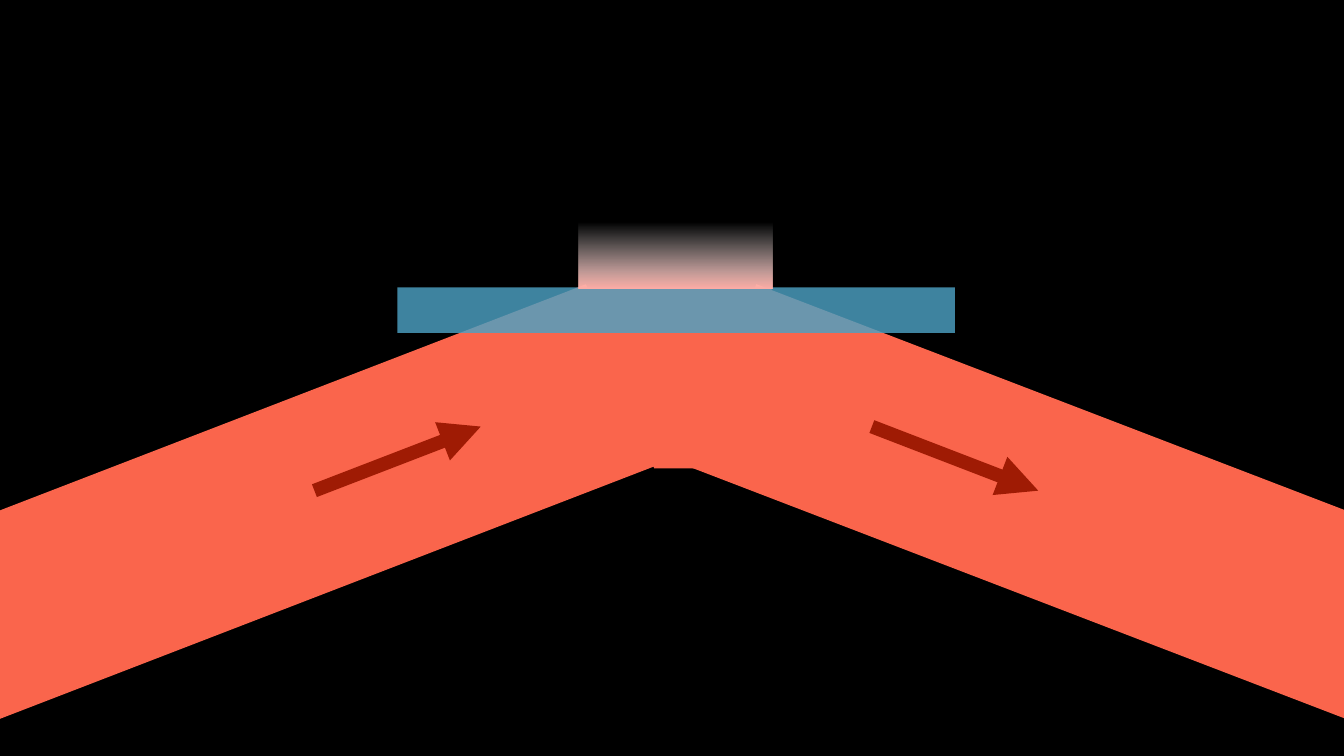
"""Build a slide of a light beam reflecting at a glass plate with an evanescent field."""
from lxml import etree
from pptx import Presentation
from pptx.dml.color import RGBColor
from pptx.enum.shapes import MSO_CONNECTOR, MSO_SHAPE
from pptx.oxml.ns import qn
from pptx.util import Pt

RECTANGLE = MSO_SHAPE.RECTANGLE
TRAPEZOID = MSO_SHAPE.TRAPEZOID
STRAIGHT = MSO_CONNECTOR.STRAIGHT

BLACK = RGBColor(0x00, 0x00, 0x00)
BEAM_RED = RGBColor(0xFA, 0x65, 0x4C)
ARROW_RED = RGBColor(0x9F, 0x1B, 0x04)
GLASS_BLUE = RGBColor(0x4C, 0xA1, 0xC3)

BLANK_LAYOUT = 6
SPOT_LEFT, SPOT_TOP, SPOT_WIDTH = 413.28, 205.9, 138.24
BEAM_LENGTH, BEAM_THICKNESS = 601.2, 138.96
FIELD_HEIGHT = 61.2
FIELD_STOPS = [(0, "FFACA4", 100), (20, "FFCBC7", 75), (77, "FFFFFF", 0)]


def add_alpha(color_element, percent):
    """Set the opacity of a colour element."""
    etree.SubElement(color_element, qn("a:alpha"), val=str(percent * 1000))


def add_block(slide, kind, left, top, width, height, color, rotation=0):
    """Add a borderless filled shape."""
    shape = slide.shapes.add_shape(kind, Pt(left), Pt(top), Pt(width), Pt(height))
    shape.shadow.inherit = False
    shape.line.fill.background()
    shape.fill.solid()
    shape.fill.fore_color.rgb = color
    shape.rotation = rotation
    return shape


def add_beam(slide, center_x, center_y, rotation):
    """Add one arm of the beam around its centre."""
    left = center_x - BEAM_LENGTH / 2
    top = center_y - BEAM_THICKNESS / 2
    add_block(slide, RECTANGLE, left, top, BEAM_LENGTH, BEAM_THICKNESS, BEAM_RED, rotation)


def add_glass(slide):
    """Add the translucent glass plate."""
    glass = add_block(slide, RECTANGLE, 283.9, 205.3, 398.2, 32.4, GLASS_BLUE)
    add_alpha(glass._element.spPr.find(f".//{qn('a:srgbClr')}"), 82)


def add_evanescent_field(slide):
    """Add the field that fades upwards above the glass."""
    field = add_block(slide, RECTANGLE, SPOT_LEFT, SPOT_TOP - FIELD_HEIGHT,
                      SPOT_WIDTH, FIELD_HEIGHT, BEAM_RED)
    field.fill.gradient()
    field.fill.gradient_angle = 90
    stops = field._element.spPr.find(f".//{qn('a:gsLst')}")
    for stop in list(stops):
        stops.remove(stop)
    for position, color, opacity in FIELD_STOPS:
        stop = etree.SubElement(stops, qn("a:gs"), pos=str(position * 1000))
        add_alpha(etree.SubElement(stop, qn("a:srgbClr"), val=color), opacity)


def add_arrow(slide, start_x, start_y, end_x, end_y):
    """Add an arrow that shows the direction of the light."""
    arrow = slide.shapes.add_connector(STRAIGHT, Pt(start_x), Pt(start_y), Pt(end_x), Pt(end_y))
    arrow.line.color.rgb = ARROW_RED
    arrow.line.width = Pt(9.75)
    etree.SubElement(arrow.line._get_or_add_ln(), qn("a:tailEnd"), type="triangle")
    etree.SubElement(arrow._element.spPr, qn("a:effectLst"))


def main():
    """Build and save the slide."""
    presentation = Presentation()
    presentation.slide_width = Pt(960)
    presentation.slide_height = Pt(540)
    slide = presentation.slides.add_slide(presentation.slide_layouts[BLANK_LAYOUT])
    slide.background.fill.solid()
    slide.background.fill.fore_color.rgb = BLACK

    spot = add_block(slide, TRAPEZOID, SPOT_LEFT, SPOT_TOP, SPOT_WIDTH, 128.6, BEAM_RED, 180)
    spot.adjustments[0] = 0.42
    add_beam(slide, 796, 375.6, 21)
    add_beam(slide, 163.1, 376.1, 338.9)
    add_glass(slide)
    add_arrow(slide, 224.6, 350.5, 343.4, 304.7)
    add_evanescent_field(slide)
    add_arrow(slide, 622.8, 304.7, 741.6, 350.5)
    presentation.save("out.pptx")


if __name__ == "__main__":
    main()
